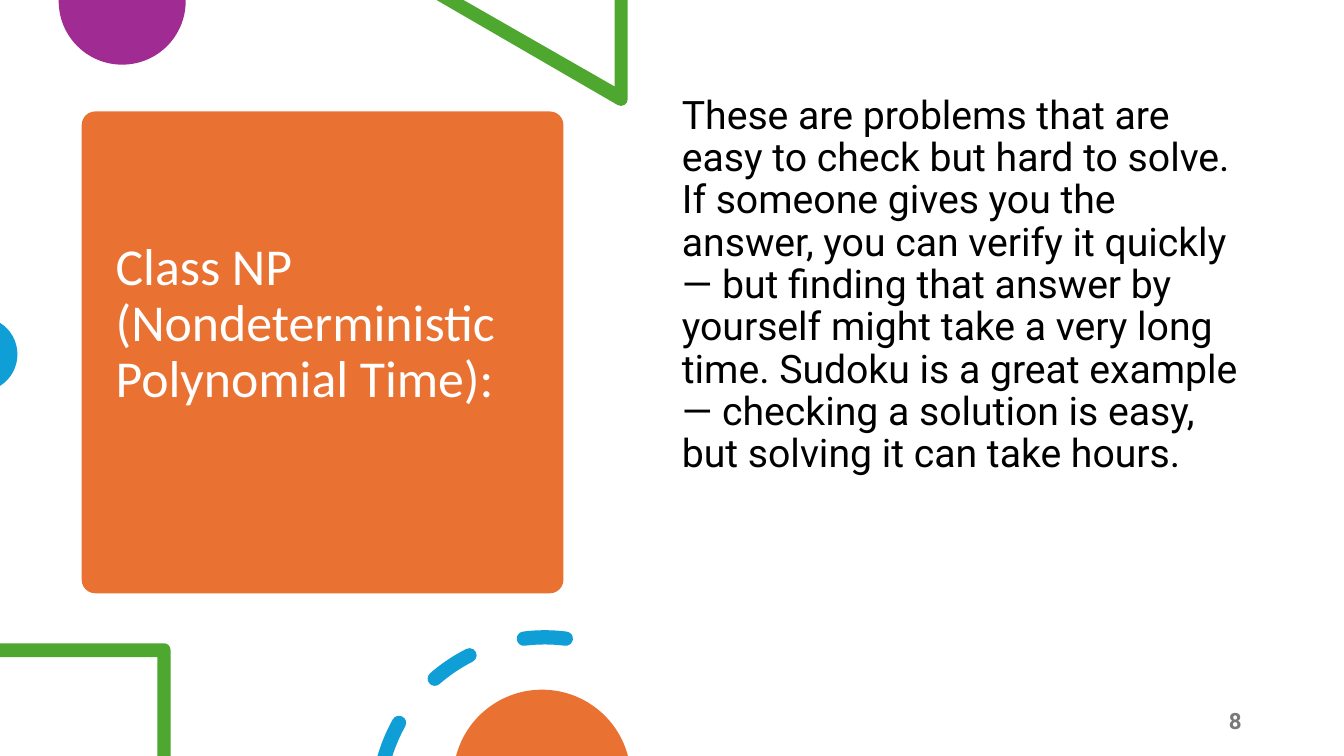
from collections import namedtuple
from math import ceil, cos, radians, sin, tan

from lxml.etree import Element, SubElement
from pptx import Presentation
from pptx.dml.color import RGBColor
from pptx.enum.shapes import MSO_SHAPE
from pptx.enum.text import MSO_ANCHOR, MSO_AUTO_SIZE, PP_ALIGN
from pptx.oxml.ns import qn
from pptx.util import Cm, Pt

Box = namedtuple("Box", "left top width height")  # centimetres

PAGE = Box(0, 0, 33.87, 19.05)
ORANGE, PURPLE, GREEN, BLUE = "E97132", "A02B93", "4EA72E", "0F9ED5"
WHITE, BLACK, GRAY = "FFFFFF", "000000", "797979"

TITLE = "Class NP (Nondeterministic Polynomial Time):"
BODY = (
    "These are problems that are easy to check but hard to solve. If someone "
    "gives you the answer, you can verify it quickly — but finding that answer "
    "by yourself might take a very long time. Sudoku is a great example — "
    "checking a solution is easy, but solving it can take hours."
)


def color(hex_string):
    return RGBColor.from_string(hex_string)


def paint(shape, fill):
    shape.shadow.inherit = False
    shape.fill.solid()
    shape.fill.fore_color.rgb = color(fill)
    shape.line.fill.background()


def place(shape, box):
    shape.left, shape.top, shape.width, shape.height = map(Cm, box)


def write(shape, text, *, size, font, fill, bold=False, align=PP_ALIGN.LEFT,
          anchor=MSO_ANCHOR.TOP, line_spacing=1.0, margin_bottom=0.13):
    frame = shape.text_frame
    frame.word_wrap = True
    frame.auto_size = MSO_AUTO_SIZE.NONE
    frame.vertical_anchor = anchor
    frame.margin_bottom = Cm(margin_bottom)
    paragraph = frame.paragraphs[0]
    paragraph.alignment = align
    paragraph.line_spacing = line_spacing
    paragraph.space_before = Pt(0)
    run = paragraph.add_run()
    run.text = text
    run.font.size = Pt(size)
    run.font.name = font
    run.font.bold = bold
    run.font.color.rgb = color(fill)
    return paragraph


def lines(*points):
    return [[point] for point in points]


def arc(center_x, center_y, radius, start, end):
    """A line to the arc's start, then its curves; degrees run clockwise from the right."""
    pieces = ceil(abs(end - start) / 90)
    step = radians(end - start) / pieces
    pull = 4 / 3 * tan(step / 4)

    def point(angle, tangent=0):
        return (center_x + radius * (cos(angle) - tangent * sin(angle)),
                center_y + radius * (sin(angle) + tangent * cos(angle)))

    angles = [radians(start) + i * step for i in range(pieces + 1)]
    curves = [[point(a, pull), point(b, -pull), point(b)]
              for a, b in zip(angles, angles[1:])]
    return lines(point(angles[0])) + curves


def without_empty_lines(steps):
    kept = []
    for step in steps:
        step = [(round(x, 3), round(y, 3)) for x, y in step]
        if not kept or len(step) == 3 or step[0] != kept[-1][-1]:
            kept.append(step)
    return kept


def draw_outlines(slide, outlines, fill):
    """Draw closed outlines as one shape; a step is one line point or three curve points."""
    outlines = [without_empty_lines(outline) for outline in outlines]
    builder = slide.shapes.build_freeform(*map(Cm, outlines[0][0][0]))
    for index, outline in enumerate(outlines):
        if index:
            builder.move_to(*map(Cm, outline[0][0]))
        points = [(Cm(x), Cm(y)) for step in outline[1:] for x, y in step]
        builder.add_line_segments(points, close=True)
    shape = builder.convert_to_shape()
    paint(shape, fill)

    path_lines = iter(list(shape.element.iter(qn("a:lnTo"))))
    for step in (step for outline in outlines for step in outline[1:]):
        segments = [next(path_lines) for _ in step]
        if len(segments) == 3:
            curve = Element(qn("a:cubicBezTo"))
            segments[0].addprevious(curve)
            for segment in segments:
                curve.append(segment[0])
                segment.getparent().remove(segment)


def add_top_decorations(slide, box):
    left, top = box.left, box.top
    draw_outlines(slide, [lines((left + 4.68, top), (left + 1.48, top))
                          + arc(left + 3.08, top + 0.03, 1.6, 180, 0)], PURPLE)
    right = left + 15.82
    draw_outlines(slide, [lines((right, top), (right - 0.33, top),
                                (right - 0.33, top + 2.18), (right - 4.14, top),
                                (right - 4.82, top))
                          + arc(right - 0.17, top + 2.5, 0.17, 120, 0)], GREEN)
    draw_outlines(slide, [arc(left - 0.5, top + 8.93, 0.94, -57.9, 57.9)], BLUE)


def add_dashed_ring(slide, center_x, center_y):
    """Two round-ended dashes and one that the page edge cuts flat."""
    outer, inner = 4.39, 4.03
    middle, cap = (outer + inner) / 2, (outer - inner) / 2

    def round_end(angle, turn):
        end_x = center_x + middle * cos(radians(angle))
        end_y = center_y + middle * sin(radians(angle))
        return arc(end_x, end_y, cap, turn, turn + 180)

    def dash(outer_start, inner_start, end):
        return (arc(center_x, center_y, outer, outer_start, end)
                + round_end(end, end)
                + arc(center_x, center_y, inner, end, inner_start))

    outlines = [dash(196.1, 197.6, 209.2)]
    for start in (228.8, 262.8):
        outlines.append(dash(start, start, start + 14.4) + round_end(start, start + 180))
    draw_outlines(slide, outlines, BLUE)


def add_bottom_decorations(slide, box):
    left, bottom = box.left, box.top + box.height
    right, top = left + 4.3, bottom - 2.84
    draw_outlines(slide, [lines((left, top))
                          + arc(right - 0.17, top + 0.17, 0.17, -90, 0)
                          + lines((right, bottom), (right - 0.33, bottom),
                                  (right - 0.33, top + 0.35), (left, top + 0.35))], GREEN)
    add_dashed_ring(slide, left + 13.73, bottom + 1.22)
    draw_outlines(slide, [arc(left + 13.66, bottom + 0.57, 2.24, 194.74, 345.26)], ORANGE)


def add_title_card(slide, box):
    card = slide.shapes.add_shape(MSO_SHAPE.ROUNDED_RECTANGLE, *map(Cm, box))
    card.adjustments[0] = 0.028
    paint(card, ORANGE)
    title = slide.shapes.title
    title.element.getparent().append(title.element)  # in front of the card
    place(title, Box(box.left + 0.6, box.top + 0.29, box.width - 1.2, box.height - 0.56))
    write(title, TITLE, size=37, font="Calibri", fill=WHITE,
          anchor=MSO_ANCHOR.MIDDLE, line_spacing=0.9, margin_bottom=1.56)


def add_body(slide, box):
    body = slide.placeholders[1]
    body.element.getparent().append(body.element)  # in front of the top shapes
    place(body, box)
    paragraph = write(body, BODY, size=28, font="Roboto", fill=BLACK, line_spacing=0.9)
    properties = paragraph._p.get_or_add_pPr()
    properties.set("marL", "0")
    properties.set("indent", "0")
    SubElement(properties, qn("a:buNone"))


def add_slide_number(slide, box):
    number = slide.shapes.add_textbox(*map(Cm, box))
    write(number, "8", size=16, font="Roboto", fill=GRAY, bold=True,
          align=PP_ALIGN.RIGHT, anchor=MSO_ANCHOR.MIDDLE)


def main():
    presentation = Presentation()
    presentation.slide_width = Cm(PAGE.width)
    presentation.slide_height = Cm(PAGE.height)
    slide = presentation.slides.add_slide(presentation.slide_layouts[1])
    add_title_card(slide, Box(2.06, 2.81, 12.14, 12.14))
    add_top_decorations(slide, PAGE)
    add_body(slide, Box(16.93, 2.27, 14.6, 13.59))
    add_bottom_decorations(slide, PAGE)
    add_slide_number(slide, Box(29.18, 17.65, 2.36, 1.02))
    presentation.save("out.pptx")


if __name__ == "__main__":
    main()
